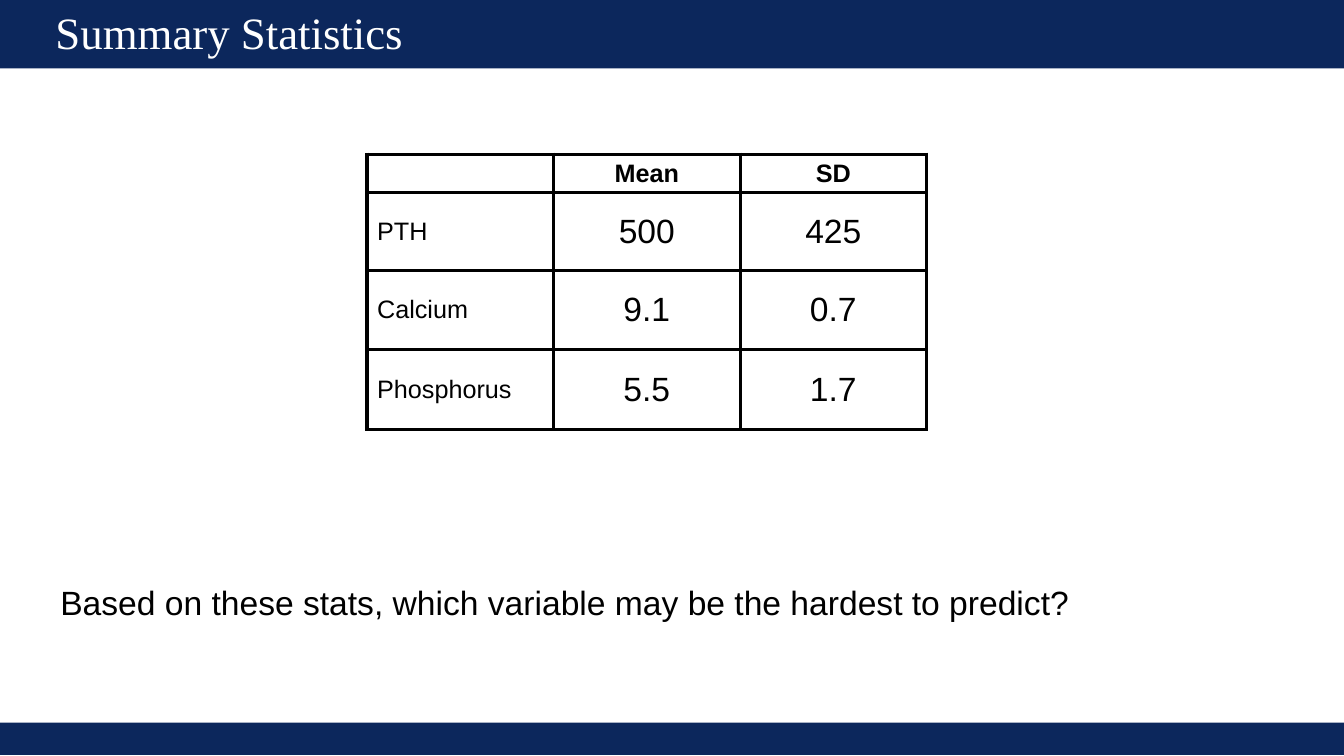
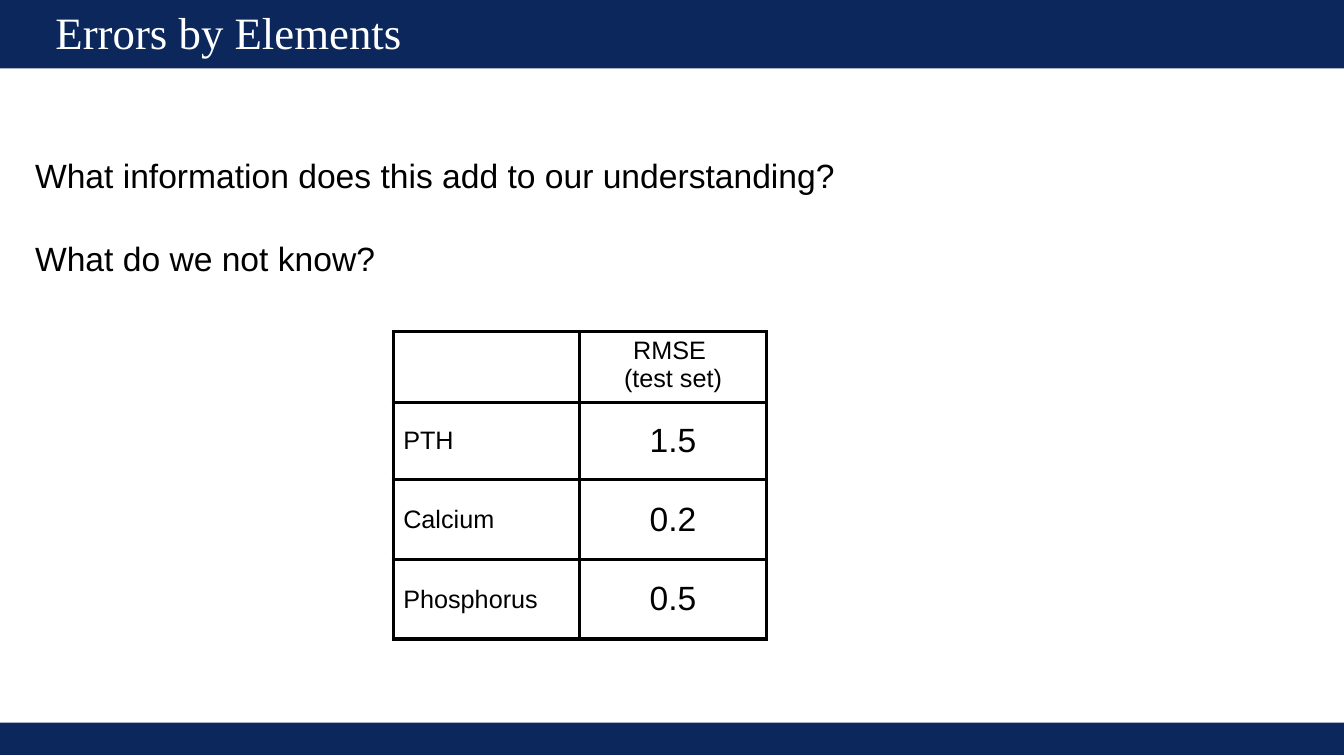
from lxml import etree
from pptx import Presentation
from pptx.dml.color import RGBColor
from pptx.enum.shapes import MSO_SHAPE
from pptx.enum.text import MSO_ANCHOR, MSO_AUTO_SIZE, PP_ALIGN
from pptx.oxml.ns import qn
from pptx.util import Pt

PX = 9144
NAVY = RGBColor(0x0C, 0x27, 0x5C)
WHITE = RGBColor(0xFF, 0xFF, 0xFF)
BLACK = RGBColor(0x00, 0x00, 0x00)
TITLE_FONT, BODY_FONT = "Times New Roman", "Arial"
RECT = MSO_SHAPE.RECTANGLE
TOP, MIDDLE = MSO_ANCHOR.TOP, MSO_ANCHOR.MIDDLE
LEFT, CENTER = PP_ALIGN.LEFT, PP_ALIGN.CENTER
NO_AUTOFIT = MSO_AUTO_SIZE.NONE
WIDTH, HEIGHT = 1333, 750
BANDS = [(0, 0, WIDTH, 68), (0, 717, WIDTH, 32)]
COLUMN = 185
BODY_ROWS = [77, 79, 79]
BORDER = Pt(2.55)


def px(*lengths):
    return [n * PX for n in lengths]


class Deck:
    def __init__(self):
        self.prs = Presentation()
        self.prs.slide_width, self.prs.slide_height = px(WIDTH, HEIGHT)
        self.layout = self.prs.slide_layouts[5]
        self.s = None

    def slide(self, title):
        self.s = self.prs.slides.add_slide(self.layout)
        if len(self.prs.slides) == 1:
            self.layout_bands()
        self.title(title)

    def layout_bands(self):
        for i, box in enumerate(BANDS):
            band = self.s.shapes.add_shape(RECT, *px(*box))
            band.shadow.inherit = False
            band.fill.solid()
            band.fill.fore_color.rgb = NAVY
            band.line.fill.background()
            band.element.nvSpPr.cNvPr.id = 101 + i
            self.layout.shapes.element.insert(2 + i, band.element)

    def style(self, p, size, color=BLACK, font=BODY_FONT, bold=False, align=LEFT):
        p.alignment = align
        p.font.size = Pt(size)
        p.font.name = font
        p.font.bold = bold
        p.font.color.rgb = color

    def title(self, text):
        sp = self.s.shapes.title
        sp.left, sp.top, sp.width, sp.height = px(55, 8, 974, 54)
        tf = sp.text_frame
        tf.text = text
        tf.auto_size = NO_AUTOFIT
        tf.vertical_anchor = MIDDLE
        tf.margin_left = tf.margin_right = tf.margin_top = tf.margin_bottom = 0
        p = tf.paragraphs[0]
        p.line_spacing = 0.9
        self.style(p, 32, WHITE, TITLE_FONT)

    def text(self, box, lines, gap=30):
        tf = self.s.shapes.add_textbox(*px(*box)).text_frame
        tf.word_wrap = True
        for i, line in enumerate(lines):
            p = tf.add_paragraph() if i else tf.paragraphs[0]
            p.text = line
            p.space_before = Pt(gap if i else 0)
            self.style(p, 24)

    def border(self, cell):
        tcPr = cell._tc.get_or_add_tcPr()
        for side in ("a:lnL", "a:lnR", "a:lnT", "a:lnB"):
            ln = etree.SubElement(tcPr, qn(side), w=str(BORDER))
            fill = etree.SubElement(ln, qn("a:solidFill"))
            etree.SubElement(fill, qn("a:srgbClr"), val=str(BLACK))

    def table(self, left, top, header_height, rows, bold_header=False):
        heights = [header_height] + BODY_ROWS
        columns = len(rows[0])
        box = px(left, top, COLUMN * columns, sum(heights))
        table = self.s.shapes.add_table(len(rows), columns, *box).table
        table.first_row = table.horz_banding = False
        for column in table.columns:
            column.width = COLUMN * PX
        for r, (height, row) in enumerate(zip(heights, rows)):
            table.rows[r].height = height * PX
            for c, text in enumerate(row):
                cell = table.cell(r, c)
                self.border(cell)
                cell.fill.solid()
                cell.fill.fore_color.rgb = WHITE
                cell.vertical_anchor = MIDDLE if r else TOP
                p = cell.text_frame.paragraphs[0]
                p.text = text
                self.style(p, 24 if r and c else 18,
                           bold=bold_header and r == 0,
                           align=CENTER if c else LEFT)


def main():
    deck = Deck()

    deck.slide("Summary Statistics")
    deck.table(364, 153, 38, [
        ("", "Mean", "SD"),
        ("PTH", "500", "425"),
        ("Calcium", "9.1", "0.7"),
        ("Phosphorus", "5.5", "1.7"),
    ], bold_header=True)
    deck.text((50, 572, 1150, 84), [
        "Based on these stats, which variable may be the hardest to predict?",
    ])

    deck.slide("Errors by Elements")
    deck.text((25, 149, 1150, 121), [
        "What information does this add to our understanding?",
        "What do we not know?",
    ])
    deck.table(390, 329, 66, [
        ("", "RMSE \n(test set)"),
        ("PTH", "1.5"),
        ("Calcium", "0.2"),
        ("Phosphorus", "0.5"),
    ])

    deck.prs.save("out.pptx")


if __name__ == "__main__":
    main()
